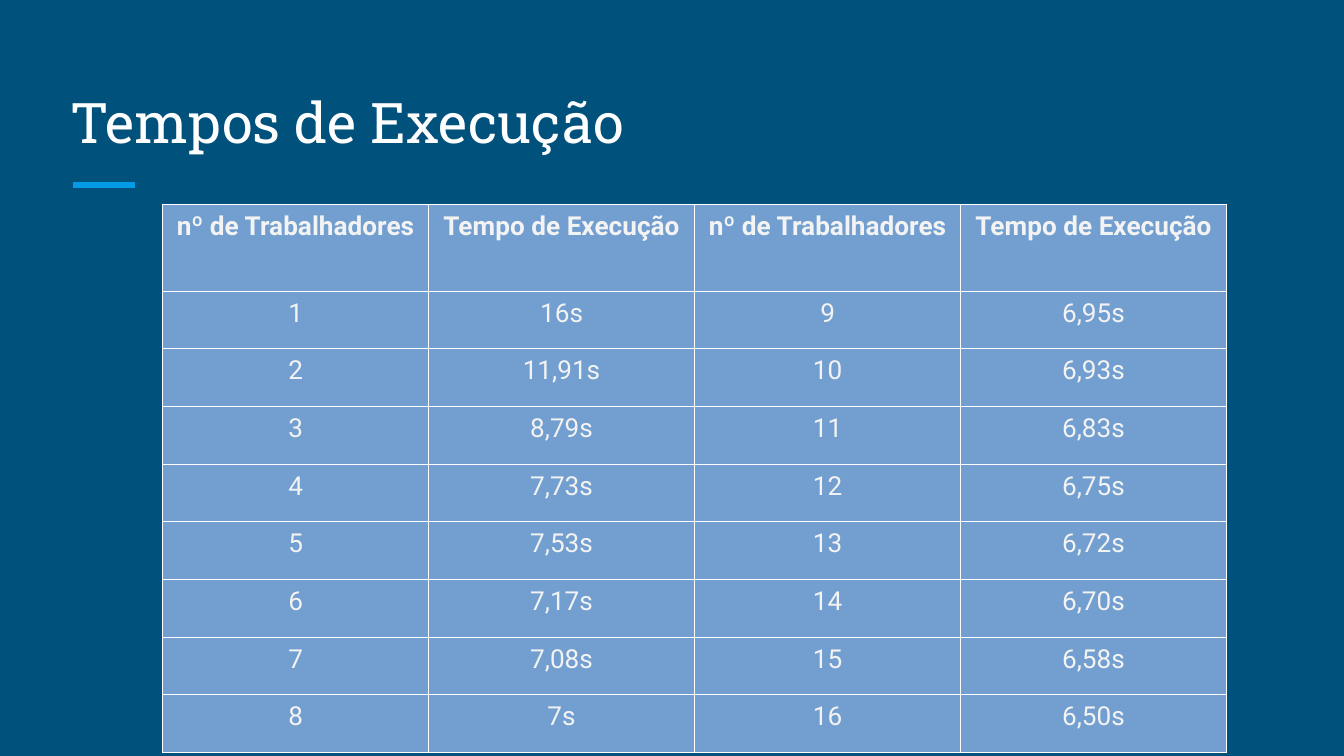
from lxml import etree
from pptx import Presentation
from pptx.dml.color import RGBColor
from pptx.enum.shapes import MSO_CONNECTOR
from pptx.enum.text import MSO_ANCHOR, PP_ALIGN
from pptx.oxml.ns import qn
from pptx.util import Pt

STRAIGHT = MSO_CONNECTOR.STRAIGHT
BOTTOM = MSO_ANCHOR.BOTTOM
CENTER = PP_ALIGN.CENTER

# Content
TITLE = "Tempos de Execução"
HEADER = ["nº de Trabalhadores", "Tempo de Execução"]
TIMES = ["16s", "11,91s", "8,79s", "7,73s", "7,53s", "7,17s", "7,08s", "7s",
         "6,95s", "6,93s", "6,83s", "6,75s", "6,72s", "6,70s", "6,58s", "6,50s"]

COLORS = {"background": "00517C", "accent": "039BE5", "title": "FFFFFF",
          "cell": "729FCF", "cell_text": "F3F3F3", "border": "FFFFFF"}

# Layout, in points
TABLE_LEFT, TABLE_TOP = 87.1, 109.6
COL_WIDTH, HEADER_HEIGHT, ROW_HEIGHT = 142.5, 46.4, 30.9
BORDER_WIDTH = 0.75


def rgb(name):
    return RGBColor.from_string(COLORS[name])


def set_font(p, name, size, color, bold=False):
    p.font.name = name
    p.font.size = Pt(size)
    p.font.bold = bold
    p.font.color.rgb = rgb(color)


def add_borders(cell):
    tc_pr = cell._tc.get_or_add_tcPr()
    for side in ("a:lnL", "a:lnR", "a:lnT", "a:lnB"):
        ln = etree.SubElement(tc_pr, qn(side), w=str(Pt(BORDER_WIDTH)))
        fill = etree.SubElement(ln, qn("a:solidFill"))
        etree.SubElement(fill, qn("a:srgbClr"), val=COLORS["border"])


prs = Presentation()
prs.slide_width, prs.slide_height = Pt(720), Pt(405)
s = prs.slides.add_slide(prs.slide_layouts[6])
s.background.fill.solid()
s.background.fill.fore_color.rgb = rgb("background")

# Accent line under the title
line = s.shapes.add_connector(STRAIGHT, Pt(38.9), Pt(99.2), Pt(72.2), Pt(99.2))
line.line.color.rgb = rgb("accent")
line.line.width = Pt(3)
etree.SubElement(line._element.spPr, qn("a:effectLst"))

# Title
tf = s.shapes.add_textbox(Pt(30.5), Pt(36), Pt(659), Pt(54)).text_frame
tf.word_wrap = True
tf.vertical_anchor = BOTTOM
tf.margin_left = tf.margin_right = tf.margin_top = tf.margin_bottom = Pt(7.2)
p = tf.paragraphs[0]
p.text = TITLE
set_font(p, "Roboto Slab", 30, "title")

# Table: the first half of the workers on the left, the second on the right
half = len(TIMES) // 2
rows = [HEADER * 2]
for i in range(half):
    rows.append([str(i + 1), TIMES[i], str(i + 1 + half), TIMES[i + half]])

n_cols = len(rows[0])
table = s.shapes.add_table(
    len(rows), n_cols, Pt(TABLE_LEFT), Pt(TABLE_TOP),
    Pt(n_cols * COL_WIDTH), Pt(HEADER_HEIGHT + half * ROW_HEIGHT)).table
for column in table.columns:
    column.width = Pt(COL_WIDTH)

for r, values in enumerate(rows):
    table.rows[r].height = Pt(ROW_HEIGHT if r else HEADER_HEIGHT)
    for c, value in enumerate(values):
        cell = table.cell(r, c)
        add_borders(cell)
        cell.fill.solid()
        cell.fill.fore_color.rgb = rgb("cell")
        p = cell.text_frame.paragraphs[0]
        p.text = value
        p.alignment = CENTER
        set_font(p, "Roboto", 14, "cell_text", bold=r == 0)

prs.save("out.pptx")
